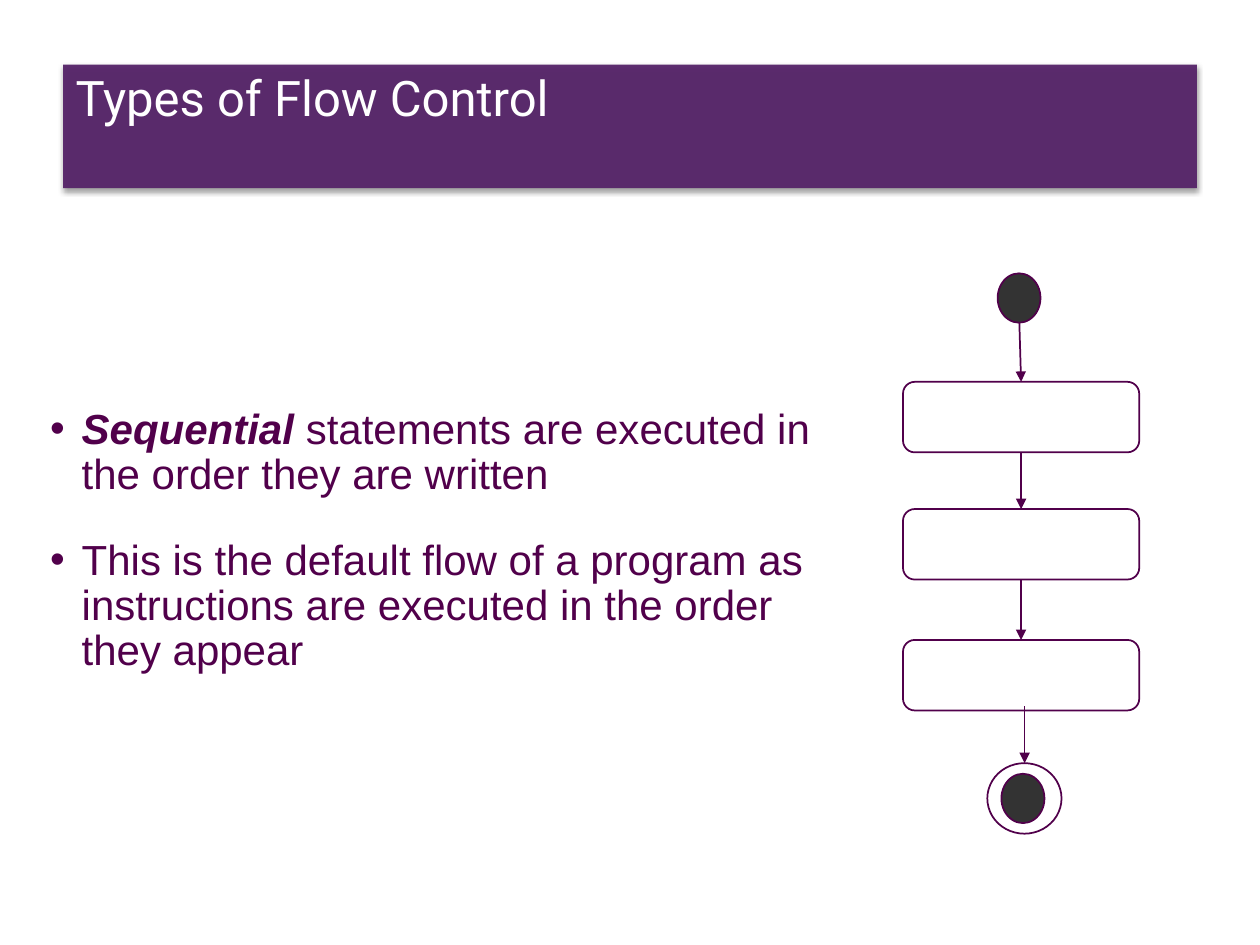
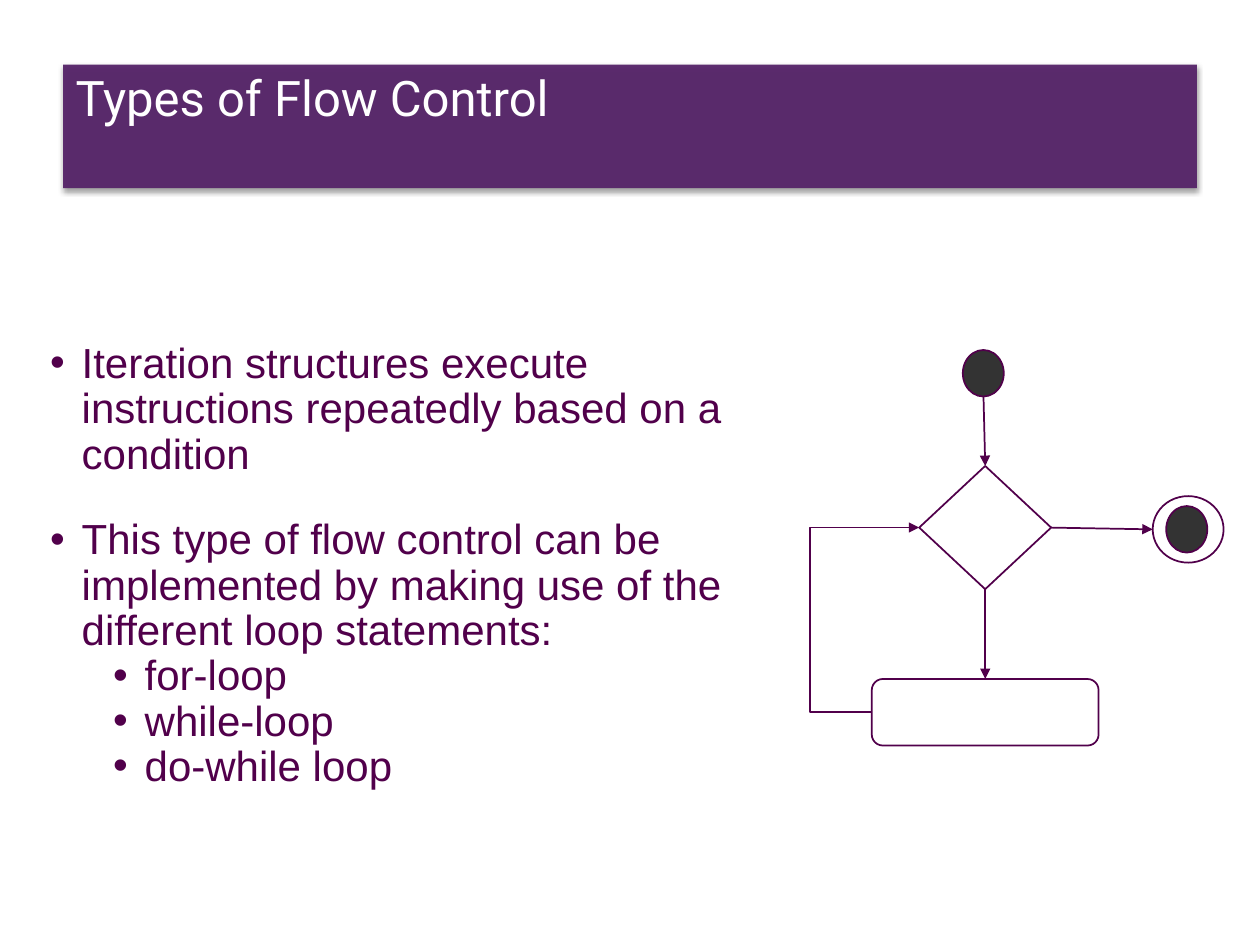
from lxml import etree
from pptx import Presentation
from pptx.dml.color import RGBColor as RGB
from pptx.enum.shapes import MSO_CONNECTOR as LINK, MSO_SHAPE as FORM
from pptx.enum.text import MSO_ANCHOR as ANCHOR, MSO_AUTO_SIZE as FIT, PP_ALIGN as ALIGN
from pptx.oxml import parse_xml
from pptx.oxml.ns import nsdecls, qn
from pptx.util import Pt

PLUM = RGB(0x51, 0x00, 0x4B)
BAND = RGB(0x56, 0x24, 0x69)
DARK = RGB(0x33, 0x33, 0x33)
WHITE = RGB(0xFF, 0xFF, 0xFF)

TITLE = "Types of Flow Control"
TITLE_BOX = (36, 37, 648, 70.5)
TITLE_FONT = dict(name="Roboto", size=Pt(28), bold=False)
BODY_FONT = dict(name="Arial", size=Pt(24))
INSETS = dict(margin_left=Pt(7.2), margin_right=Pt(7.2), margin_bottom=Pt(3.6))
HANG, GAP = 18, 23
SHADOW = (
    f'<a:effectLst {nsdecls("a")}><a:outerShdw blurRad="40000" dist="20000" '
    'dir="5400000" rotWithShape="0"><a:srgbClr val="000000">'
    '<a:alpha val="38000"/></a:srgbClr></a:outerShdw></a:effectLst>'
)


def style(item, values):
    for key, value in values.items():
        setattr(item, key, value)


def place(item, box):
    style(item, dict(zip(("left", "top", "width", "height"), map(Pt, box))))


# Text regions
def title(slide, box):
    band = slide.shapes.title
    place(band, box)
    band.fill.solid()
    band.fill.fore_color.rgb = BAND
    color = band.fill._xPr.find(qn("a:solidFill"))[0]
    etree.SubElement(color, qn("a:alpha")).set("val", "95000")
    band._element.spPr.append(parse_xml(SHADOW))

    frame = band.text_frame
    frame.text = TITLE
    style(frame, INSETS | dict(margin_top=0, vertical_anchor=ANCHOR.TOP,
                               auto_size=FIT.NONE, word_wrap=True))
    para = frame.paragraphs[0]
    style(para, dict(alignment=ALIGN.LEFT, line_spacing=1.05))
    style(para.runs[0].font, TITLE_FONT)
    para.runs[0].font.color.rgb = WHITE


def bullets(slide, box, items):
    """Each item is a level and its runs, a run being text and emphasis."""
    frame = slide.shapes.add_textbox(*map(Pt, box)).text_frame
    style(frame, INSETS | dict(margin_top=Pt(3.6), word_wrap=True))
    for num, (level, runs) in enumerate(items):
        para = frame.paragraphs[0] if num == 0 else frame.add_paragraph()
        gap = GAP if num and level == 0 else 0
        style(para, dict(level=level, line_spacing=0.9, space_before=Pt(gap)))
        props = para._p.get_or_add_pPr()
        props.set("marL", str(Pt(HANG + 2 * HANG * level)))
        props.set("indent", str(-Pt(HANG)))
        etree.SubElement(props, qn("a:buFont")).set("typeface", "Arial")
        etree.SubElement(props, qn("a:buChar")).set("char", "•")
        for text, strong in runs:
            run = para.add_run()
            run.text = text
            style(run.font, BODY_FONT | dict(bold=strong, italic=strong))
            run.font.color.rgb = PLUM


# Flow chart parts
def node(shapes, form, box, fill=None):
    shape = shapes.add_shape(form, *map(Pt, box))
    shape.shadow.inherit = False
    if fill is None:
        shape.fill.background()
    else:
        shape.fill.solid()
        shape.fill.fore_color.rgb = fill
    shape.line.color.rgb = PLUM
    shape.line.width = Pt(1)


def disk(shapes, box):
    node(shapes, FORM.FLOWCHART_CONNECTOR, box, DARK)


def finish(shapes, box):
    """A ring with a disk inside, sized in proportion to the ring."""
    x, y, w, h = box
    disk(shapes, (x + 0.19 * w, y + 0.15 * h, 0.58 * w, 0.7 * h))
    node(shapes, FORM.FLOWCHART_CONNECTOR, box)


def arrow(shapes, start, end, bend=None):
    kind = LINK.STRAIGHT if bend is None else LINK.ELBOW
    link = shapes.add_connector(kind, *map(Pt, start + end))
    link.line.color.rgb = PLUM
    link.line.width = Pt(1)
    props = link._element.spPr
    etree.SubElement(link.line._get_or_add_ln(), qn("a:tailEnd")).set("type", "triangle")
    etree.SubElement(props, qn("a:effectLst"))
    if bend is not None:
        guides = props.find(qn("a:prstGeom")).find(qn("a:avLst"))
        guide = etree.SubElement(guides, qn("a:gd"))
        guide.set("name", "adj1")
        guide.set("fmla", f"val {round(bend * 100000)}")


# Diagrams
def sequence(slide, box):
    x, y, w, h = box
    shapes = slide.shapes.add_group_shape().shapes
    mid, high = x + w / 2, 40.3
    tops = [y + drop for drop in (62, 134.7, 209.5)]
    for top in tops:
        node(shapes, FORM.ROUNDED_RECTANGLE, (x, top, w, high))
    disk(shapes, (mid - 13.4, y, 24.5, 28.2))
    arrow(shapes, (mid - 1, y + 28.2), (mid, tops[0]))
    for top, below in zip(tops, tops[1:]):
        arrow(shapes, (mid, top + high), (mid, below))
    ring = y + h - high
    arrow(shapes, (mid + 2, ring - 32.4), (mid + 2, ring))
    finish(shapes, (mid - 19.3, ring, 42.4, high))


def loop(slide, box):
    x, y, w, h = box
    shapes = slide.shapes.add_group_shape().shapes
    mid, high = x + 100, 38
    test, step = y + 66.3, y + h - high
    left, right, center = mid - 37.7, mid + 37.7, test + 35.2
    edge = mid - 64.8
    ring = x + w - 40.5
    node(shapes, FORM.DIAMOND, (left, test, right - left, 70.4))
    node(shapes, FORM.ROUNDED_RECTANGLE, (edge, step, 129.6, high))
    disk(shapes, (mid - 12.8, y, 23.4, 26.6))
    finish(shapes, (ring, center - 18, 40.5, high))
    arrow(shapes, (mid - 1, y + 26.6), (mid, test))
    arrow(shapes, (right, center), (ring, center + 1))
    arrow(shapes, (mid, test + 70.4), (mid, step))
    arrow(shapes, (edge, step + high / 2), (left, center),
          bend=(x - edge) / (left - edge))


# Slides
PAGES = [
    ((21.6, 229.5, 476.6, 190),
     [(0, [("Sequential ", True),
           ("statements are executed in the order they are written", False)]),
      (0, [("This is the default flow of a program as instructions are "
            "executed in the order they appear", False)])],
     sequence, (516, 156.2, 135, 320.2)),
    ((21.6, 192, 440.6, 288),
     [(0, [("Iteration structures execute instructions repeatedly based "
            "on a condition", False)]),
      (0, [("This type of flow control can be implemented by making use "
            "of the different loop statements:", False)])]
     + [(1, [(name, False)]) for name in ("for-loop", "while-loop", "do-while loop")],
     loop, (463, 200, 236.2, 226)),
]

deck = Presentation()
deck.slide_width, deck.slide_height = Pt(720), Pt(540)
for area, items, draw, spot in PAGES:
    slide = deck.slides.add_slide(deck.slide_layouts[5])
    title(slide, TITLE_BOX)
    bullets(slide, area, items)
    draw(slide, spot)
deck.save("out.pptx")
